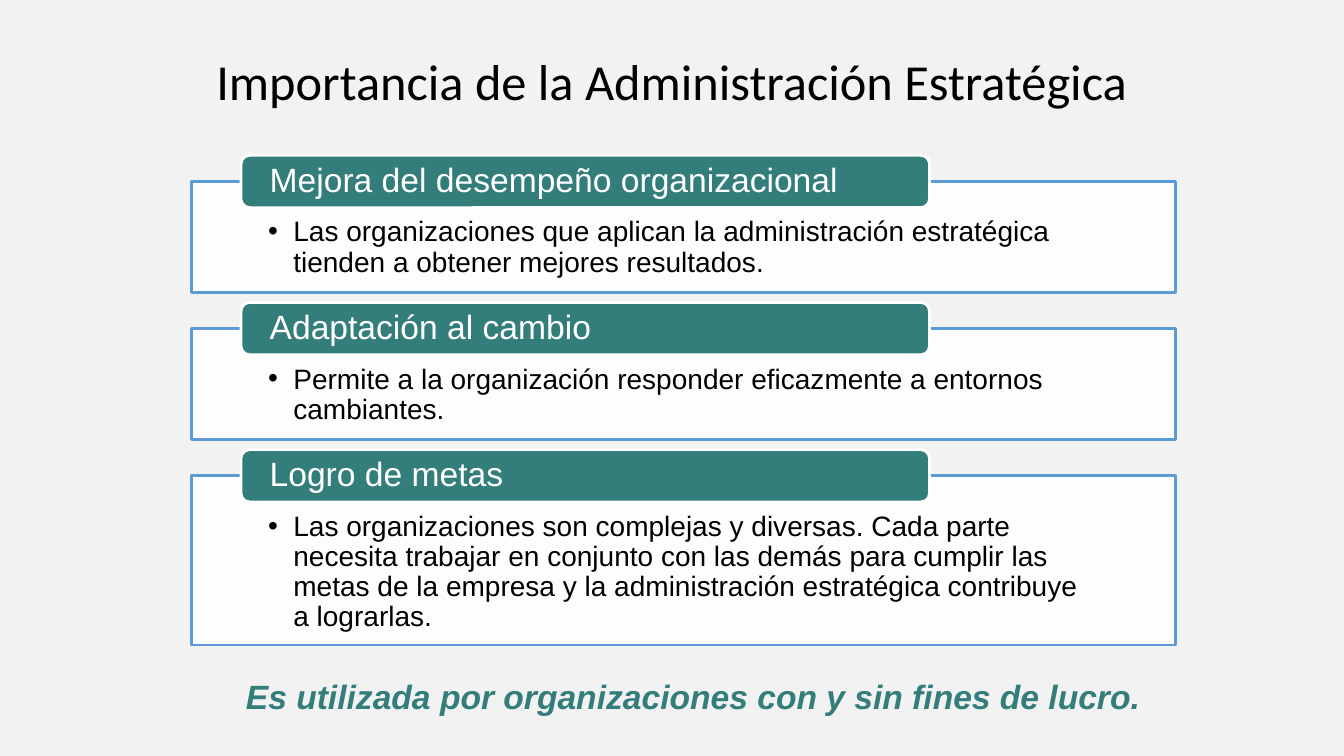
from lxml.etree import SubElement
from pptx import Presentation
from pptx.dml.color import RGBColor
from pptx.enum.shapes import MSO_SHAPE
from pptx.enum.text import MSO_ANCHOR, PP_ALIGN
from pptx.oxml.ns import qn
from pptx.util import Pt

EMU_PER_PX = 9144
BACKGROUND = RGBColor(0xF2, 0xF2, 0xF2)
WHITE = RGBColor(0xFF, 0xFF, 0xFF)
BLACK = RGBColor(0x00, 0x00, 0x00)
TEAL = RGBColor(0x33, 0x7D, 0x7B)
BLUE = RGBColor(0x5B, 0x9B, 0xD5)

TITLE_FONT = {"name": "Calibri", "size": Pt(36), "color": BLACK}
HEADING_FONT = {"name": "Arial", "size": Pt(24), "color": WHITE}
BODY_FONT = {"name": "Arial", "size": Pt(20), "color": BLACK}
CLOSING_FONT = {"name": "Arial", "size": Pt(24), "color": TEAL, "bold": True, "italic": True}

CARD_LEFT, CARD_TOP, CARD_WIDTH, CARD_GAP = 190, 180, 976, 36
CARDS = [
    ("Mejora del desempeño organizacional", 110,
     "Las organizaciones que aplican la administración estratégica tienden a obtener "
     "mejores resultados."),
    ("Adaptación al cambio", 110,
     "Permite a la organización responder eficazmente a entornos cambiantes."),
    ("Logro de metas", 168,
     "Las organizaciones son complejas y diversas. Cada parte necesita trabajar en conjunto "
     "con las demás para cumplir las metas de la empresa y la administración estratégica "
     "contribuye a lograrlas."),
]


def px(*lengths):
    """Turn px lengths into EMU."""
    return [length * EMU_PER_PX for length in lengths]


def add_bullet(paragraph, indent):
    """Give the paragraph a black bullet with a hanging indent in px."""
    properties = paragraph._p.get_or_add_pPr()
    properties.set("marL", str(indent * EMU_PER_PX))
    properties.set("indent", str(-indent * EMU_PER_PX))
    color = SubElement(properties, qn("a:buClr"))
    SubElement(color, qn("a:srgbClr"), val=str(BLACK))
    SubElement(properties, qn("a:buFont"), typeface="Arial")
    SubElement(properties, qn("a:buChar"), char="•")


def write_text(shape, text, font_values, insets, anchor=MSO_ANCHOR.TOP,
               alignment=PP_ALIGN.LEFT, line_spacing=1.0, bullet_indent=0):
    """Write one formatted paragraph into the shape."""
    frame = shape.text_frame
    left, top, right, bottom = px(*insets)
    frame_values = {"word_wrap": True, "vertical_anchor": anchor, "margin_left": left,
                    "margin_top": top, "margin_right": right, "margin_bottom": bottom}
    for name, value in frame_values.items():
        setattr(frame, name, value)
    paragraph = frame.paragraphs[0]
    paragraph.alignment = alignment
    paragraph.line_spacing = line_spacing
    if bullet_indent:
        add_bullet(paragraph, bullet_indent)
    run = paragraph.add_run()
    run.text = text
    for name, value in font_values.items():
        if name == "color":
            run.font.color.rgb = value
        else:
            setattr(run.font, name, value)


def add_panel(slide, preset, box, fill_color, line_color):
    """Add a filled and outlined shape without shadow."""
    shape = slide.shapes.add_shape(preset, *px(*box))
    shape.shadow.inherit = False
    shape.fill.solid()
    shape.fill.fore_color.rgb = fill_color
    shape.line.color.rgb = line_color
    shape.line.width = Pt(2)
    return shape


def add_card(slide, box, heading, body):
    """Add a framed body with a heading tab across its top edge."""
    left, top, width, height = box
    frame = add_panel(slide, MSO_SHAPE.RECTANGLE, box, WHITE, BLUE)
    fill_color = frame.fill._xPr.find(qn("a:solidFill"))[0]
    SubElement(fill_color, qn("a:alpha"), val="90000")
    write_text(frame, body, BODY_FONT, (76, 36, 76, 16), line_spacing=0.9, bullet_indent=25)
    tab_box = (left + 49, top - 26, width * 7 // 10, 52)
    tab = add_panel(slide, MSO_SHAPE.ROUNDED_RECTANGLE, tab_box, TEAL, WHITE)
    write_text(tab, heading, HEADING_FONT, (26, 0, 26, 0), MSO_ANCHOR.MIDDLE, line_spacing=0.9)


def add_cards(slide, left, top, width):
    """Stack the cards downwards with equal gaps."""
    for heading, height, body in CARDS:
        add_card(slide, (left, top, width, height), heading, body)
        top += height + CARD_GAP


def add_centered_line(slide, box, text, font_values):
    """Add a centred line of text in its box."""
    text_box = slide.shapes.add_textbox(*px(*box))
    write_text(text_box, text, font_values, (10, 5, 10, 5), MSO_ANCHOR.MIDDLE, PP_ALIGN.CENTER)


def main():
    """Build and save the presentation."""
    presentation = Presentation()
    presentation.slide_width, presentation.slide_height = px(1333, 750)
    slide = presentation.slides.add_slide(presentation.slide_layouts[6])
    slide.background.fill.solid()
    slide.background.fill.fore_color.rgb = BACKGROUND
    add_centered_line(slide, (0, 32, 1333, 95),
                      "Importancia de la Administración Estratégica", TITLE_FONT)
    add_cards(slide, CARD_LEFT, CARD_TOP, CARD_WIDTH)
    add_centered_line(slide, (209, 666, 957, 50),
                      "Es utilizada por organizaciones con y sin fines de lucro.", CLOSING_FONT)
    presentation.save("out.pptx")


if __name__ == "__main__":
    main()
